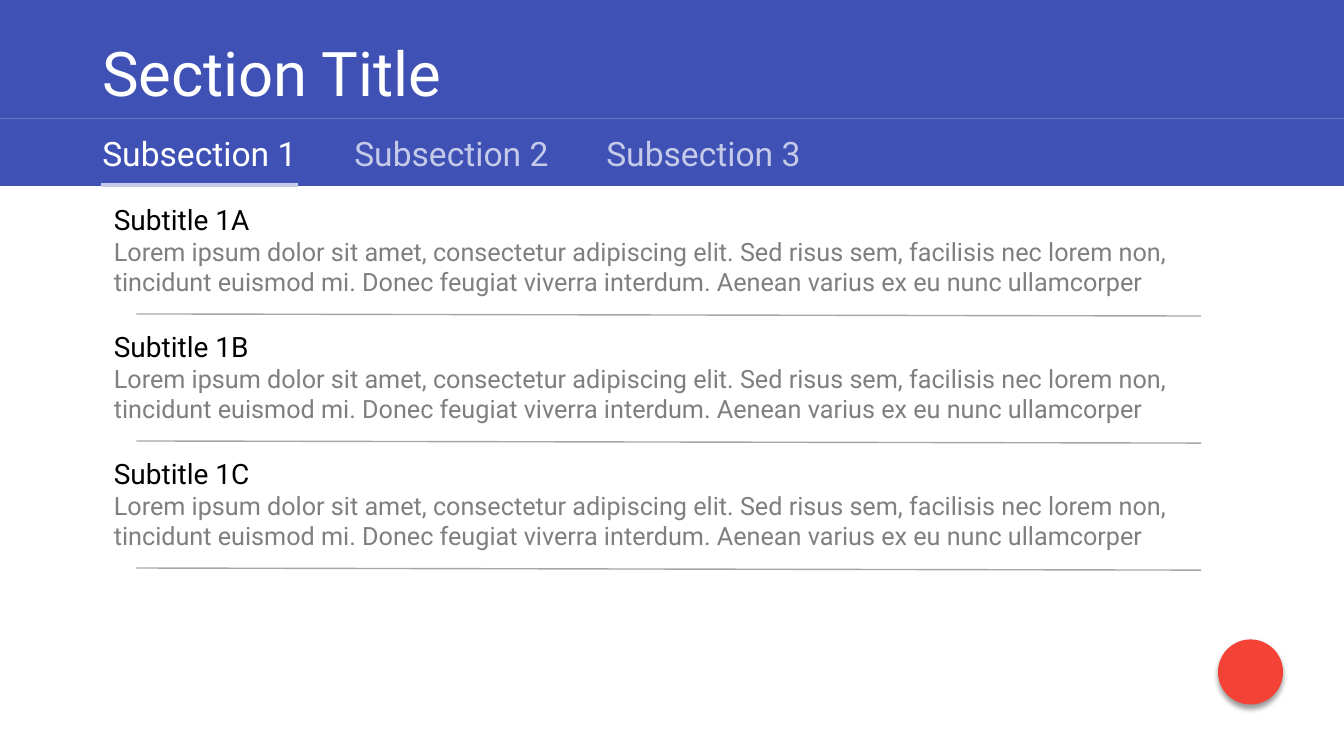
from lxml.etree import SubElement
from pptx import Presentation
from pptx.dml.color import RGBColor
from pptx.enum.shapes import MSO_CONNECTOR, MSO_SHAPE
from pptx.enum.text import MSO_ANCHOR, MSO_AUTO_SIZE
from pptx.oxml.ns import qn
from pptx.util import Emu, Pt

# Content
TITLE = "Section Title"
TABS = ["Subsection 1", "Subsection 2", "Subsection 3"]
ACTIVE_TAB = 0
LOREM = ("Lorem ipsum dolor sit amet, consectetur adipiscing elit. "
         "Sed risus sem, facilisis nec lorem non, tincidunt euismod mi. "
         "Donec feugiat viverra interdum. Aenean varius ex eu nunc ullamcorper")
ITEMS = [("Subtitle 1A", LOREM), ("Subtitle 1B", LOREM), ("Subtitle 1C", LOREM)]

THEME = {
    "font": "Roboto",
    "primary": "3F51B5", "on_primary": "FFFFFF", "muted": "C5CAE9",
    "subtitle": "000000", "body": "7F7F7F", "divider": "A6A6A6",
    "accent": "F44336", "shadow": "000000",
    "title_size": 44, "tab_size": 24, "subtitle_size": 20, "body_size": 18,
}

# Layout, in px at 96 to the inch
PAGE_WIDTH, PAGE_HEIGHT = 1280, 720
TITLE_BAND, TAB_BAND = 113, 64
TAB_LEFT, TAB_PITCH = 88, 240
ITEM_TOP, ITEM_PITCH = 188, 121


def px(value):
    return Emu(value * 9525)


def color(name):
    return RGBColor.from_string(THEME[name])


def add_text(shapes, lines, left, top, width, height, *, anchor=MSO_ANCHOR.TOP,
             spacing=None, fit=MSO_AUTO_SIZE.SHAPE_TO_FIT_TEXT):
    """Each line is a tuple of text, size name and colour name."""
    box = shapes.add_textbox(px(left), px(top), px(width), px(height))
    frame = box.text_frame
    frame.word_wrap = True
    frame.auto_size = fit
    frame.vertical_anchor = anchor
    for index, (text, size, tint) in enumerate(lines):
        para = frame.add_paragraph() if index else frame.paragraphs[0]
        para.line_spacing = spacing
        span = para.add_run()
        span.text = text
        span.font.name = THEME["font"]
        span.font.size = Pt(THEME[size])
        span.font.color.rgb = color(tint)


def add_line(shapes, start, end, tint, weight):
    line = shapes.add_connector(MSO_CONNECTOR.STRAIGHT, *map(px, start + end))
    line.line.color.rgb = color(tint)
    line.line.width = Pt(weight)
    SubElement(line._element.spPr, qn("a:effectLst"))


def add_solid(shapes, preset, left, top, width, height, tint):
    shape = shapes.add_shape(preset, px(left), px(top), px(width), px(height))
    shape.shadow.inherit = False
    shape.fill.solid()
    shape.fill.fore_color.rgb = color(tint)
    shape.line.fill.background()
    return shape


def add_shadow(shape):
    effects = shape._element.spPr.find(qn("a:effectLst"))
    shadow = SubElement(effects, qn("a:outerShdw"), blurRad=str(Pt(4)),
                        dist=str(Pt(3)), dir="5400000", algn="t", rotWithShape="0")
    tint = SubElement(shadow, qn("a:srgbClr"), val=THEME["shadow"])
    SubElement(tint, qn("a:alpha"), val="40000")


def main():
    deck = Presentation()
    deck.slide_width, deck.slide_height = px(PAGE_WIDTH), px(PAGE_HEIGHT)
    page = deck.slides.add_slide(deck.slide_layouts[6])
    shapes = page.shapes

    # List items, each grouped with its divider
    for index, (subtitle, body) in enumerate(ITEMS):
        top = ITEM_TOP + index * ITEM_PITCH
        item = shapes.add_group_shape().shapes
        add_text(item, [(subtitle, "subtitle_size", "subtitle"),
                        (body, "body_size", "body")], 99, top, 1093, 100)
        add_line(item, (130, top + 111), (1144, top + 113), "divider", 1)

    # Header bands and title
    add_solid(shapes, MSO_SHAPE.RECTANGLE, 0, TITLE_BAND, PAGE_WIDTH, TAB_BAND, "primary")
    add_solid(shapes, MSO_SHAPE.RECTANGLE, 0, 0, PAGE_WIDTH, TITLE_BAND, "primary")
    add_text(shapes, [(TITLE, "title_size", "on_primary")], TAB_LEFT, 16, 1104, 113,
             anchor=MSO_ANCHOR.MIDDLE, spacing=0.9, fit=MSO_AUTO_SIZE.NONE)

    # Tabs and the marker under the active one
    for index, label in enumerate(TABS):
        tint = "on_primary" if index == ACTIVE_TAB else "muted"
        add_text(shapes, [(label, "tab_size", tint)],
                 TAB_LEFT + index * TAB_PITCH, 122, 220, 48)
    marker_left = TAB_LEFT + ACTIVE_TAB * TAB_PITCH + 8
    add_line(shapes, (marker_left, 176), (marker_left + 188, 176), "muted", 3)

    # Floating button
    add_shadow(add_solid(shapes, MSO_SHAPE.OVAL, 1160, 609, 62, 62, "accent"))

    deck.save("out.pptx")


if __name__ == "__main__":
    main()
